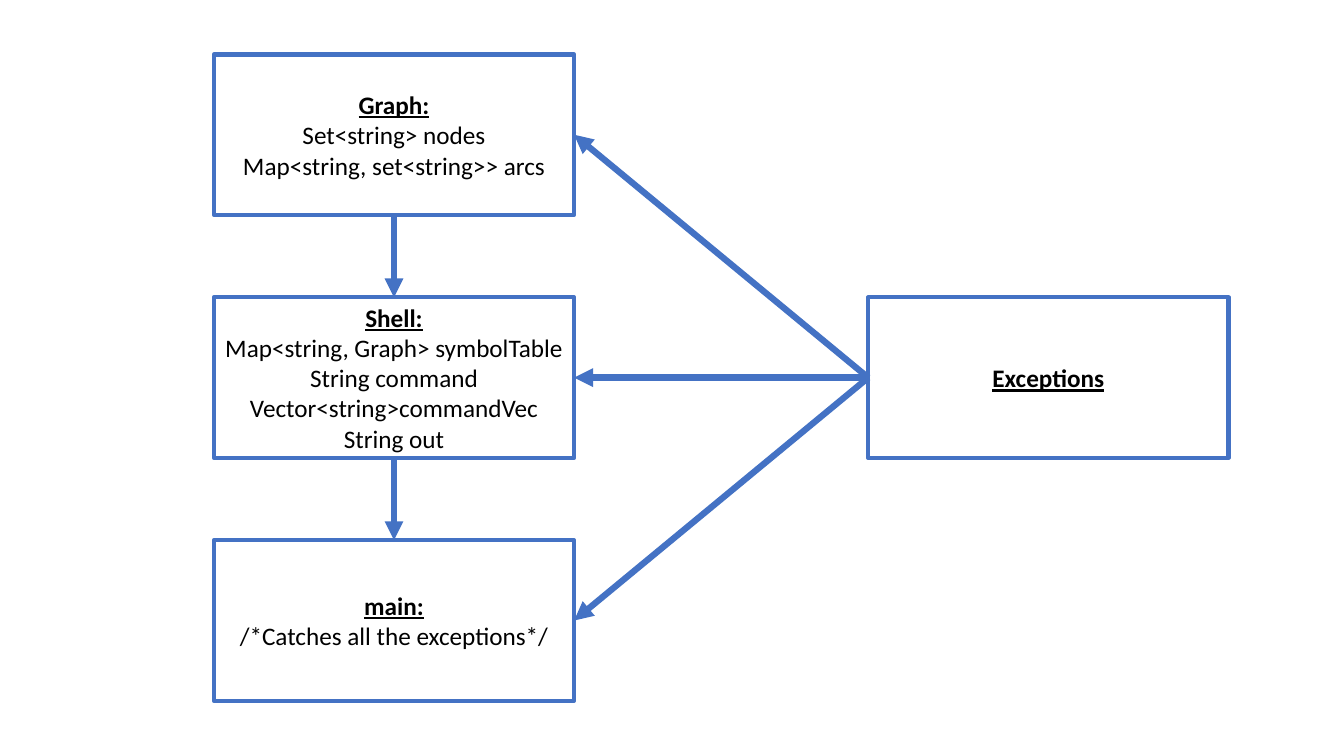
"""Build a slide showing how the program's modules depend on each other."""
from lxml import etree
from pptx import Presentation
from pptx.dml.color import RGBColor
from pptx.enum.shapes import MSO_CONNECTOR, MSO_SHAPE
from pptx.enum.text import MSO_ANCHOR, PP_ALIGN
from pptx.oxml.ns import qn
from pptx.util import Pt

RECT = MSO_SHAPE.RECTANGLE
STRAIGHT = MSO_CONNECTOR.STRAIGHT
MIDDLE = MSO_ANCHOR.MIDDLE
CENTER = PP_ALIGN.CENTER
TOP, LEFT, BOTTOM, RIGHT = range(4)

MODULES = [
    ("Graph:", ["Set<string> nodes", "Map<string, set<string>> arcs"]),
    ("Shell:", ["Map<string, Graph> symbolTable", "String command",
                "Vector<string>commandVec", "String out"]),
    ("main:", ["/*Catches all the exceptions*/"]),
]
BLUE, WHITE, BLACK = "4472C4", "FFFFFF", "000000"
MODULE_X, EXCEPTIONS_X = 152.8, 620.2
FIRST_Y, STEP_Y = 38.9, 173.5
BOX_W, BOX_H = 257.3, 114.7


def rgb(value):
    return RGBColor.from_string(value)


def add_box(s, x, row, title, members):
    box = s.shapes.add_shape(RECT, Pt(x), Pt(FIRST_Y + row * STEP_Y), Pt(BOX_W), Pt(BOX_H))
    box.shadow.inherit = False
    box.fill.solid()
    box.fill.fore_color.rgb = rgb(WHITE)
    box.line.color.rgb = rgb(BLUE)
    box.line.width = Pt(3)
    tf = box.text_frame
    tf.word_wrap = True
    tf.vertical_anchor = MIDDLE
    for i, text in enumerate([title] + members):
        p = tf.add_paragraph() if i else tf.paragraphs[0]
        p.text = text
        p.alignment = CENTER
        p.font.name = "Calibri"
        p.font.size = Pt(18)
        p.font.color.rgb = rgb(BLACK)
        p.font.bold = p.font.underline = i == 0
    return box


def add_arrow(s, start, start_side, end, end_side):
    arrow = s.shapes.add_connector(STRAIGHT, 0, 0, 0, 0)
    arrow.begin_connect(start, start_side)
    arrow.end_connect(end, end_side)
    arrow.line.color.rgb = rgb(BLUE)
    arrow.line.width = Pt(4.5)
    sp_pr = arrow.line._get_or_add_ln().getparent()
    etree.SubElement(sp_pr.find(qn("a:ln")), qn("a:tailEnd"), type="triangle")
    etree.SubElement(sp_pr, qn("a:effectLst"))


prs = Presentation()
prs.slide_width, prs.slide_height = Pt(960), Pt(540)
s = prs.slides.add_slide(prs.slide_layouts[6])

modules = [add_box(s, MODULE_X, row, *module) for row, module in enumerate(MODULES)]
exceptions = add_box(s, EXCEPTIONS_X, 1, "Exceptions", [])
for upper, lower in zip(modules, modules[1:]):
    add_arrow(s, upper, BOTTOM, lower, TOP)
for module in modules:
    add_arrow(s, exceptions, LEFT, module, RIGHT)

prs.save("out.pptx")
